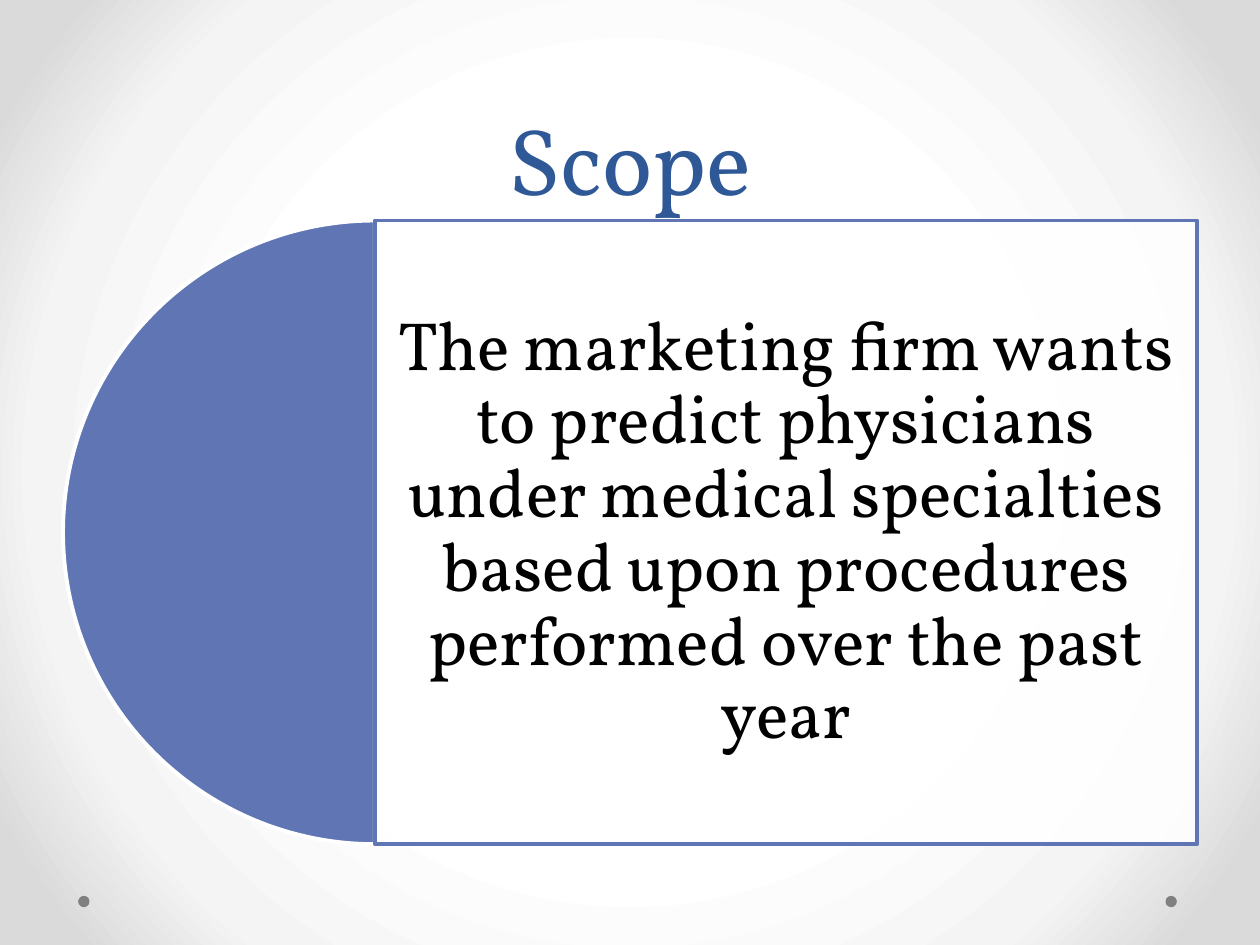
from pptx import Presentation, oxml
from pptx.dml.color import RGBColor
from pptx.enum import shapes, text
from pptx.oxml import ns
from pptx.util import Pt

WHITE = RGBColor(0xFF, 0xFF, 0xFF)
BLACK = RGBColor(0x00, 0x00, 0x00)
GRAY = RGBColor(0x80, 0x80, 0x80)
BLUE = RGBColor(0x60, 0x76, 0xB4)
TITLE_BLUE = RGBColor(0x2F, 0x58, 0x97)
FONT = "Vollkorn"

presentation = Presentation()
presentation.slide_width, presentation.slide_height = Pt(720), Pt(540)
slide = presentation.slides.add_slide(presentation.slide_layouts[6])


def add_shape(kind, left, top, width, height, fill, line=None):
    shape = slide.shapes.add_shape(kind, Pt(left), Pt(top), Pt(width), Pt(height))
    shape.shadow.inherit = False
    shape.fill.solid()
    shape.fill.fore_color.rgb = fill
    if line is None:
        shape.line.fill.background()
    else:
        shape.line.color.rgb = line
        shape.line.width = Pt(2.25)
    return shape


def add_text(content, left, top, width, height, *, size, color, anchor,
             spacing, inset_x, inset_y):
    box = slide.shapes.add_textbox(Pt(left), Pt(top), Pt(width), Pt(height))
    frame = box.text_frame
    frame.word_wrap = True
    frame.vertical_anchor = anchor
    frame.margin_left = frame.margin_right = Pt(inset_x)
    frame.margin_top = frame.margin_bottom = Pt(inset_y)
    paragraph = frame.paragraphs[0]
    paragraph.alignment = text.PP_ALIGN.CENTER
    paragraph.line_spacing = spacing
    run = paragraph.add_run()
    run.text = content
    run.font.name = FONT
    run.font.size = Pt(size)
    run.font.color.rgb = color


# Background: radial gradient from the centre
slide.background.fill.gradient()
gradient = slide.element.find(".//" + ns.qn("a:gradFill"))
stops = "".join(
    f'<a:gs pos="{percent * 1000}"><a:srgbClr val="{color}"/></a:gs>'
    for percent, color in [(50, "FFFFFF"), (76, "F4F4F4"), (92, "DADADA")]
)
gradient.getparent().replace(gradient, oxml.parse_xml(
    f'<a:gradFill {ns.nsdecls("a")} rotWithShape="1"><a:gsLst>{stops}</a:gsLst>'
    '<a:path path="circle"><a:fillToRect l="50000" t="50000" r="50000" b="50000"/>'
    '</a:path></a:gradFill>'
))

# Corner dots
for left in (666, 44.64):
    add_shape(shapes.MSO_SHAPE.OVAL, left, 511.92, 6.5, 6.5, GRAY)

# Title
add_text("Scope", 36, 0, 648, 126, size=54, color=TITLE_BLUE,
         anchor=text.MSO_ANCHOR.BOTTOM, spacing=Pt(58), inset_x=7.2, inset_y=3.6)

# Half disc: a pie from 90 to 270 degrees, in units of 1/60000 degree
TOP, HEIGHT = 126, 356.4
half_disc = add_shape(shapes.MSO_SHAPE.PIE, 36, TOP, HEIGHT, HEIGHT, BLUE, WHITE)
for index, degrees in enumerate((90, 270)):
    half_disc.adjustments[index] = degrees * 60000 / 100000

# Panel, 90 % opaque, from the disc's centre to the right margin
panel_left = 36 + HEIGHT / 2
panel = (panel_left, TOP, 684 - panel_left, HEIGHT)
panel_shape = add_shape(shapes.MSO_SHAPE.RECTANGLE, *panel, WHITE, BLUE)
panel_color = panel_shape.element.spPr.find(f"{ns.qn('a:solidFill')}/{ns.qn('a:srgbClr')}")
panel_color.append(oxml.parse_xml(f'<a:alpha {ns.nsdecls("a")} val="90000"/>'))

# Scope statement
add_text("The marketing firm wants to predict physicians under medical specialties "
         "based upon procedures performed over the past year",
         *panel, size=39, color=BLACK, anchor=text.MSO_ANCHOR.MIDDLE,
         spacing=0.9, inset_x=11.7, inset_y=11.7)

presentation.save("out.pptx")
